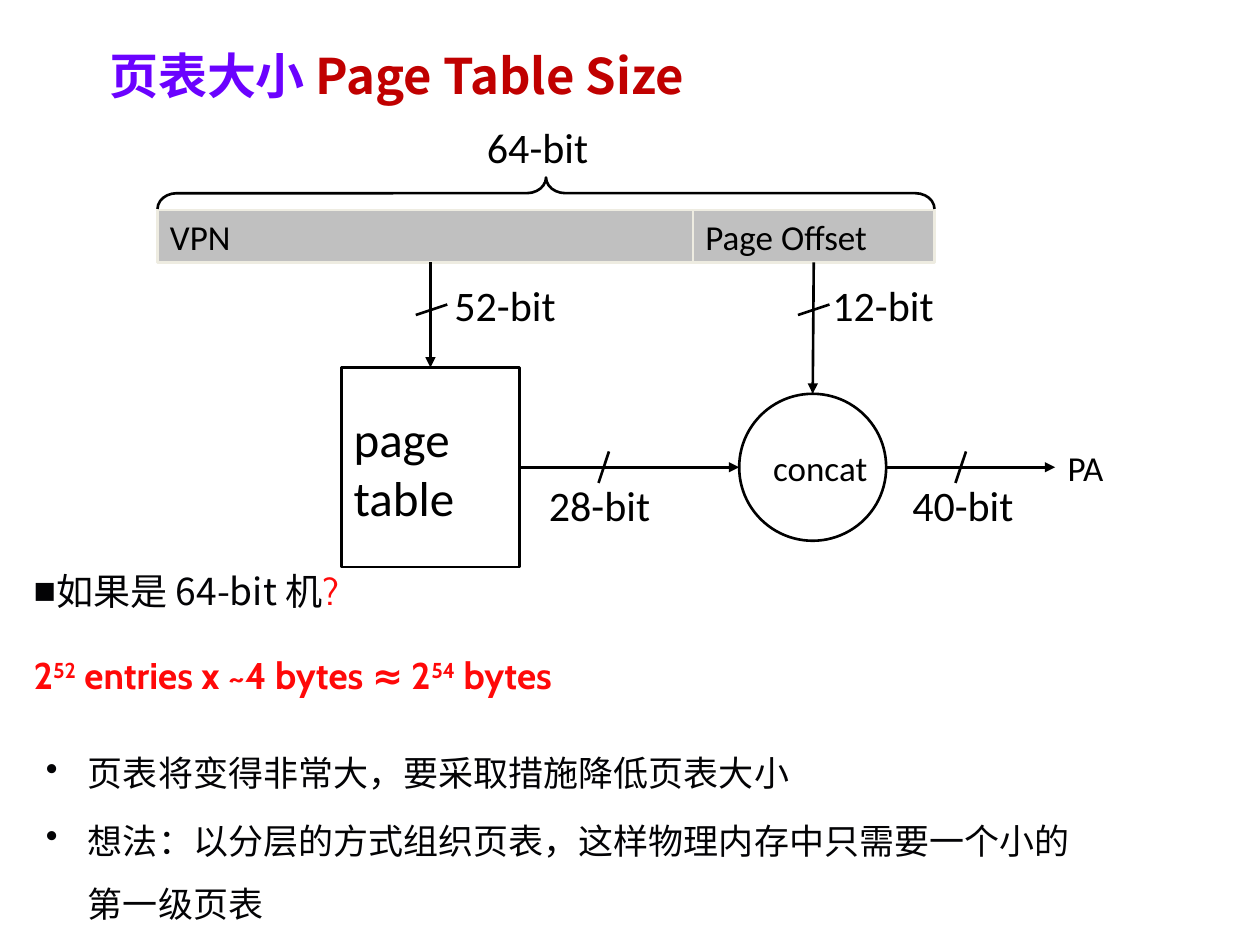
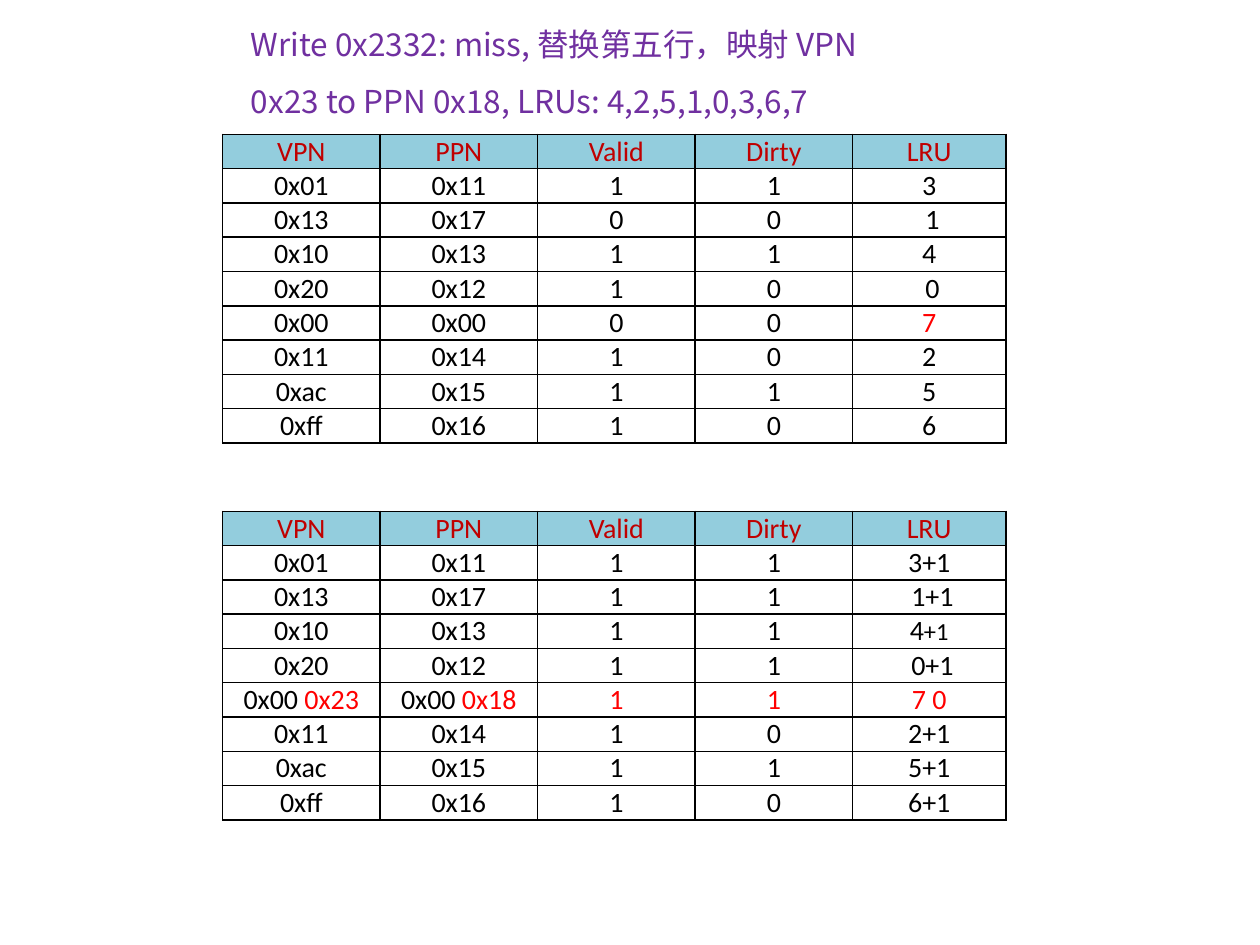
from dataclasses import dataclass

from lxml.etree import SubElement
from pptx import Presentation
from pptx.dml.color import RGBColor
from pptx.enum.shapes import MSO_CONNECTOR as LINK, MSO_SHAPE as SHAPE
from pptx.enum.text import MSO_ANCHOR as ANCHOR, MSO_AUTO_SIZE as FIT, PP_ALIGN as ALIGN
from pptx.oxml.ns import qn
from pptx.util import Emu, Pt

COLUMNS, ROWS = 120, 90     # the slide grid, in square cells
CELL = 76200                # a twelfth of an inch


@dataclass(frozen=True)
class Theme:
    cjk: str = "Noto Sans CJK SC"
    latin: str = "Calibri"
    accent: str = "Cabin"
    black: str = "000000"
    ink: str = "030305"
    white: str = "FFFFFF"
    violet: str = "6B02FF"
    purple: str = "7030A0"
    crimson: str = "C00000"
    red: str = "FF0000"
    alert: str = "FF0909"
    grey: str = "C0C0C0"
    ivory: str = "EEECE1"
    header: str = "93CDDD"
    title: float = 28
    block: float = 28
    bits: float = 24
    question: float = 21.2
    body: float = 20
    heading: float = 18
    cell: float = 16
    small: float = 14
    line: float = 1.5


T = Theme()


# ---- Grid and text ----
def grid(*cells):
    return [Emu(round(n * CELL)) for n in cells]


def place(shape, *box):
    shape.left, shape.top, shape.width, shape.height = grid(*box)
    return shape


def set_bullet(paragraph, bullet, margin, indent):
    props = paragraph._p.get_or_add_pPr()
    props.set("marL", str(round(margin * CELL)))
    props.set("indent", str(round(indent * CELL)))
    if bullet:
        SubElement(props, qn("a:buChar")).set("char", bullet)
    else:
        SubElement(props, qn("a:buNone"))


def format_run(run, font=T.latin, size=T.body, color=T.black, bold=False, raised=False):
    run.font.name, run.font.size, run.font.bold = font, Pt(size), bold
    run.font.color.rgb = RGBColor.from_string(color)
    props = run._r.get_or_add_rPr()
    SubElement(props, qn("a:ea")).set("typeface", font)
    if raised:
        props.set("baseline", "30000")


def write(frame, paragraphs, align=ALIGN.LEFT, anchor=ANCHOR.TOP, wrap=True, inset=None,
          spacing=1, before=0, bullet=None, margin=0, indent=0, **look):
    """Fill a frame; a paragraph is a string or a list of strings and (string, look) runs."""
    if wrap is not None:
        frame.word_wrap, frame.auto_size = wrap, FIT.NONE
        frame.vertical_anchor = anchor
    if inset is not None:
        frame.margin_left = frame.margin_right = inset
        frame.margin_top = frame.margin_bottom = inset
    for i, content in enumerate(paragraphs):
        paragraph = frame.paragraphs[0] if i == 0 else frame.add_paragraph()
        add_runs(paragraph, content, look)
        paragraph.alignment = align
        paragraph.line_spacing = spacing
        paragraph.space_before, paragraph.space_after = Pt(before), Pt(0)
        set_bullet(paragraph, bullet, margin, indent)


def add_runs(paragraph, content, look):
    for part in [content] if isinstance(content, (str, tuple)) else content:
        text, change = (part, {}) if isinstance(part, str) else part
        run = paragraph.add_run()
        run.text = text
        format_run(run, **{**look, **change})


def red(text):
    return text, {"color": T.red}


# ---- Diagram parts ----
def add_label(slide, text, left, top, size=T.bits):
    label = place(slide.shapes.add_textbox(0, 0, 0, 0), left, top, 12.1, 6.1)
    write(label.text_frame, [text], wrap=False, size=size)


def add_part(slide, kind, box, lines=(), fill=T.white, edge=T.black, size=T.body):
    part = slide.shapes.add_shape(kind, *grid(*box))
    part.shadow.inherit = False
    part.line.color.rgb, part.line.width = RGBColor.from_string(edge), Pt(T.line)
    if fill:
        part.fill.solid()
        part.fill.fore_color.rgb = RGBColor.from_string(fill)
    else:
        part.fill.background()
    if lines:
        write(part.text_frame, lines, anchor=ANCHOR.MIDDLE, wrap=False, size=size)
    return part


def add_line(slide, start, end, arrow=False):
    line = slide.shapes.add_connector(LINK.STRAIGHT, *grid(*start, *end))
    line.line.color.rgb, line.line.width = RGBColor.from_string(T.black), Pt(T.line)
    if arrow:
        SubElement(line.line._get_or_add_ln(), qn("a:tailEnd")).set("type", "triangle")
    SubElement(line._element.spPr, qn("a:effectLst"))
    return line


def add_address_diagram(slide):
    # Virtual address and its width
    vpn = add_part(slide, SHAPE.RECTANGLE, (15, 20, 52, 5), ["VPN"], T.grey, T.ivory)
    offset = add_part(slide, SHAPE.RECTANGLE, (66, 20, 23, 5), ["Page Offset"], T.grey, T.ivory)
    brace = add_part(slide, SHAPE.LEFT_BRACE, (50.5, -18.6, 3, 74), fill=None)
    brace.rotation = 90
    brace.adjustments[0] = 0.61
    add_label(slide, "64-bit", 45.2, 11)

    # Translation
    page_table = add_part(slide, SHAPE.RECTANGLE, (32.5, 35, 17, 19), ["page", "table"],
                          size=T.block)
    concat = add_part(slide, SHAPE.OVAL, (70.4, 37.5, 14, 14), ["concat"])
    add_label(slide, "PA", 100.5, 41.9, T.body)

    # Data paths
    lookup = add_line(slide, (41, 25), (41, 35), arrow=True)
    lookup.begin_connect(vpn, 2)
    lookup.end_connect(page_table, 0)
    pass_through = add_line(slide, (77.5, 25), (77.4, 37.5), arrow=True)
    pass_through.begin_connect(offset, 2)
    pass_through.end_connect(concat, 0)
    frame_number = add_line(slide, (49.5, 44.5), (70.4, 44.5), arrow=True)
    frame_number.begin_connect(page_table, 3)
    add_line(slide, (84.4, 44.5), (100.5, 44.5), arrow=True)

    # Bus widths: a slash over the path and a label beside it
    for x in (57, 91):
        add_line(slide, (x, 46), (x + 1, 43))
    for x in (39.6, 76):
        add_line(slide, (x, 30), (x + 3, 29))
    for bits, x, y in (("52-bit", 42.1, 26), ("12-bit", 78.1, 26),
                       ("28-bit", 51.1, 45.1), ("40-bit", 85.7, 45.1)):
        add_label(slide, bits, x, y)


# ---- Tables ----
def draw_borders(cell):
    props = cell._tc.get_or_add_tcPr()
    for side in ("lnL", "lnR", "lnT", "lnB"):
        border = SubElement(props, qn(f"a:{side}"), w=str(Pt(1)))
        SubElement(SubElement(border, qn("a:solidFill")), qn("a:srgbClr")).set("val", T.black)


def add_tlb(slide, top, entries):
    rows = ["VPN,PPN,Valid,Dirty,LRU".split(",")] + entries
    widths = [15, 15, 15, 15, 14.6]
    row_height = 3.23
    tlb = slide.shapes.add_table(len(rows), len(widths), *grid(
        21.2, top, sum(widths), row_height * len(rows))).table
    tlb.horz_banding = False
    for column, width in zip(tlb.columns, grid(*widths)):
        column.width = width
    for r, row in enumerate(rows):
        tlb.rows[r].height = grid(row_height)[0]
        for c, content in enumerate(row):
            cell = tlb.cell(r, c)
            cell.margin_left = cell.margin_right = cell.margin_top = cell.margin_bottom = 0
            draw_borders(cell)
            cell.fill.solid()
            cell.fill.fore_color.rgb = RGBColor.from_string(T.white if r else T.header)
            write(cell.text_frame, [content], align=ALIGN.CENTER, wrap=None, size=T.cell,
                  color=T.black if r else T.crimson)


# ---- Slides ----
def build_page_table_size(deck):
    slide = deck.slides.add_slide(deck.slide_layouts[1])
    title, question = slide.placeholders
    place(title, 10.4, 4.3, 90, 5.8)
    write(title.text_frame, [["页表大小 ", ("Page Table Size", {"color": T.crimson})]],
          inset=0, font=T.cjk, size=T.title, color=T.violet, bold=True)

    add_address_diagram(slide)

    # Question and the resulting table size
    place(question, 3.2, 54.1, 116, 14)
    mark = {"font": T.accent, "color": T.alert}
    write(question.text_frame, [["如果是 64-bit 机", ("?", mark)]], inset=0, bullet="■",
          font=T.cjk, size=T.question, color=T.ink)
    answer = question.text_frame.add_paragraph()
    answer.space_before = Pt(23)
    set_bullet(answer, None, 0, 0)
    add_runs(answer, ["2", ("52", {"raised": True}), " entries x ~4 bytes ≈ 2",
                      ("54", {"raised": True}), " bytes"],
             {**mark, "size": T.question, "bold": True})

    # Conclusions
    notes = place(slide.shapes.add_textbox(0, 0, 0, 0), 3.2, 69, 100.3, 19.2)
    write(notes.text_frame,
          ["页表将变得非常大，要采取措施降低页表大小",
           "想法：以分层的方式组织页表，这样物理内存中只需要一个小的第一级页表"],
          spacing=1.5, before=2.8, bullet="•", margin=4, indent=-4,
          font=T.cjk, size=T.body, color=T.ink)


def build_tlb_miss(deck):
    slide = deck.slides.add_slide(deck.slide_layouts[5])
    heading = place(slide.shapes.title, 22.7, 0, 64.7, 11.5)
    write(heading.text_frame,
          ["Write 0x2332: miss, 替换第五行，映射 VPN 0x23 to PPN 0x18, LRUs: 4,2,5,1,0,3,6,7"],
          spacing=1.5, font=T.cjk, size=T.heading, color=T.purple)

    # Entries before and after the write
    before = ["0x01,0x11,1,1,3", "0x13,0x17,0,0, 1", "0x10,0x13,1,1,4", "0x20,0x12,1,0, 0",
              "0x00,0x00,0,0,7", "0x11,0x14,1,0,2", "0xac,0x15,1,1,5", "0xff,0x16,1,0,6"]
    after = ["0x01,0x11,1,1,3+1", "0x13,0x17,1,1, 1+1", "0x10,0x13,1,1,4",
             "0x20,0x12,1,1, 0+1", "0x00 ,0x00 ,1,1,7 0", "0x11,0x14,1,0,2+1",
             "0xac,0x15,1,1,5+1", "0xff,0x16,1,0,6+1"]
    before, after = ([entry.split(",") for entry in state] for state in (before, after))
    victim = 4
    before[victim][4] = red(before[victim][4])
    vpn, ppn, *flags = after[victim]
    after[victim] = [[vpn, red("0x23")], [ppn, red("0x18")], *map(red, flags)]
    after[2][4] = ["4", ("+1", {"size": T.small})]
    add_tlb(slide, 12.8, before)
    add_tlb(slide, 48.7, after)


def main():
    deck = Presentation()
    deck.slide_width, deck.slide_height = grid(COLUMNS, ROWS)
    build_page_table_size(deck)
    build_tlb_miss(deck)
    deck.save("out.pptx")


if __name__ == "__main__":
    main()
